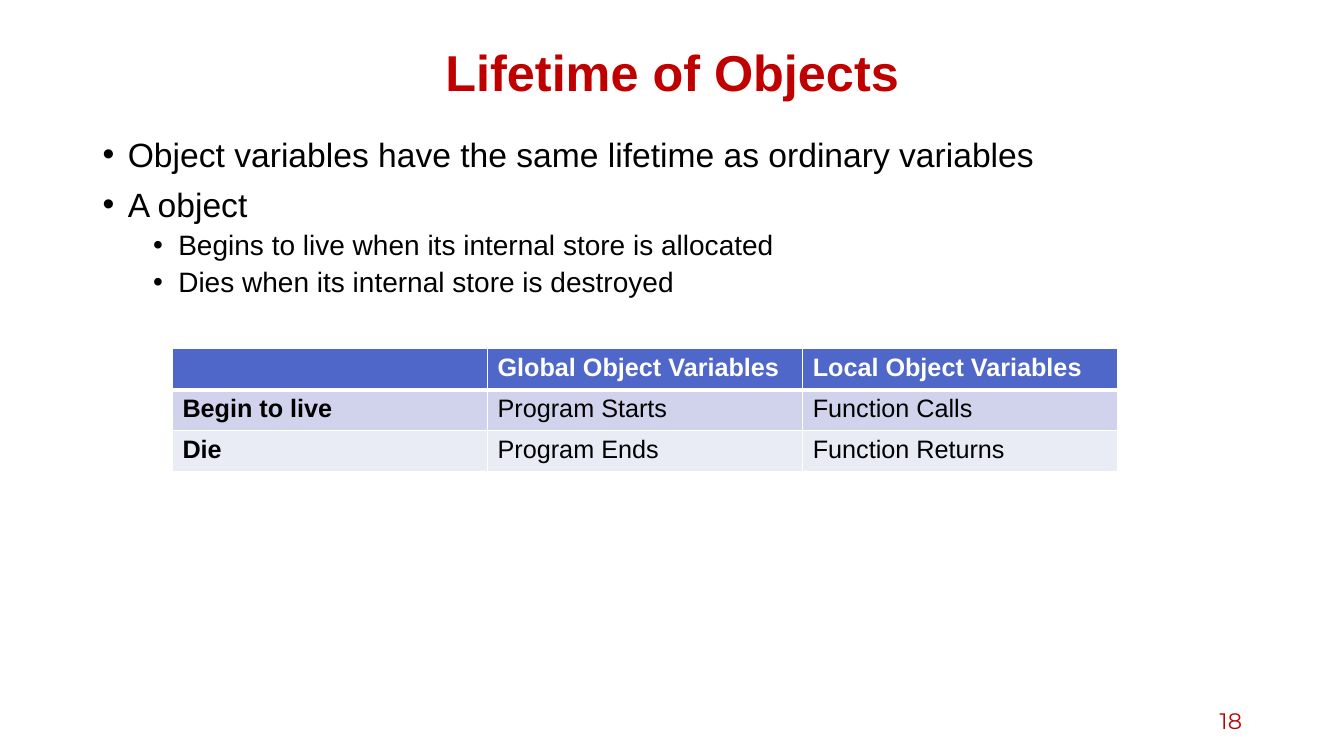
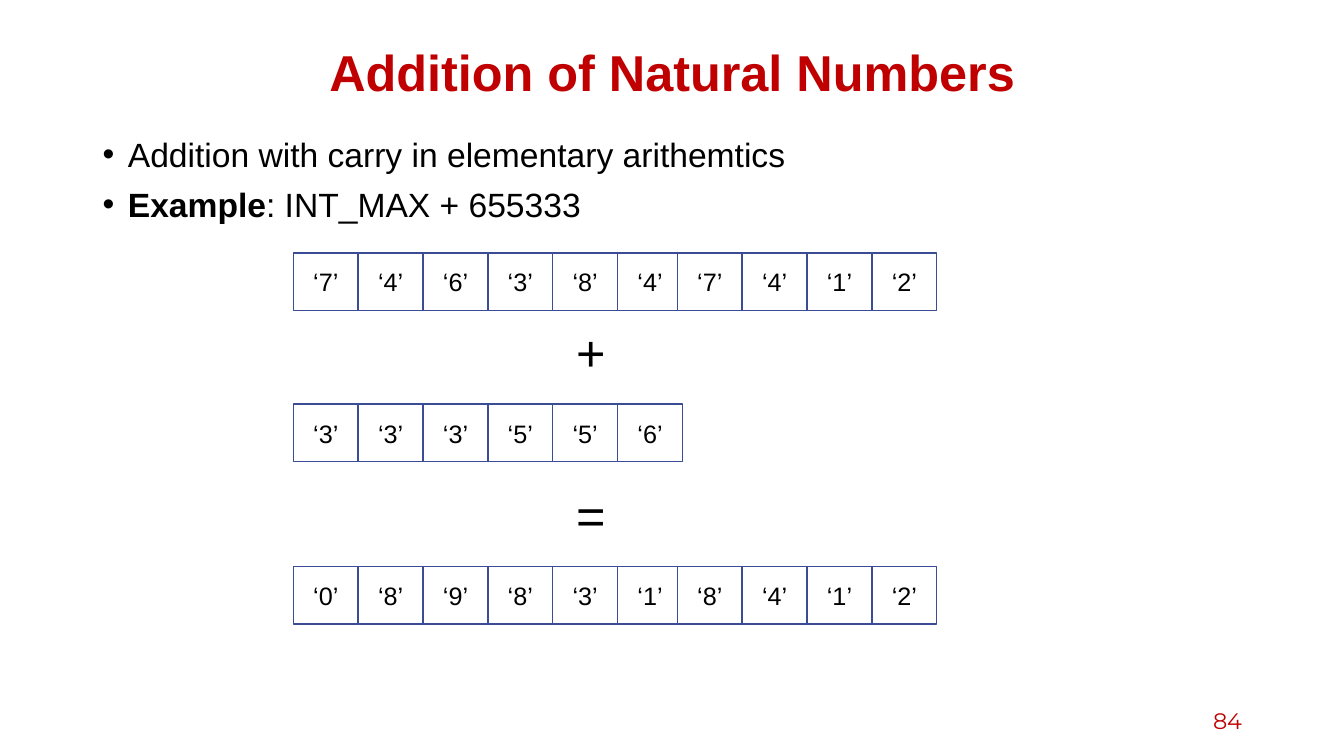
from lxml.etree import SubElement
from pptx import Presentation
from pptx.dml.color import RGBColor
from pptx.enum.shapes import MSO_SHAPE
from pptx.enum.text import MSO_ANCHOR, PP_ALIGN
from pptx.oxml.ns import qn
from pptx.util import Inches, Pt

RED, BLACK, WHITE = "C00000", "000000", "FFFFFF"
HEADER_BLUE, BAND_DARK, BAND_LIGHT = "4E67C8", "D0D3EB", "E9EBF5"
DIGIT_OUTLINE = "3A4C94"

presentation = Presentation()
presentation.slide_width = Inches(13.33)
presentation.slide_height = Inches(7.5)
column = presentation.slide_width / 100
row = presentation.slide_height / 100


def add_run(paragraph, text, size, color=BLACK, bold=False, font="Arial"):
    run = paragraph.add_run()
    run.text = text
    run.font.name = font
    run.font.size = Pt(size)
    run.font.bold = bold
    run.font.color.rgb = RGBColor.from_string(color)


def add_text_frame(slide, left, top, width, height, anchor=MSO_ANCHOR.TOP):
    box = slide.shapes.add_textbox(
        int(left * column), int(top * row), int(width * column), int(height * row)
    )
    box.text_frame.word_wrap = True
    box.text_frame.vertical_anchor = anchor
    return box.text_frame


pages = [
    ("Lifetime of Objects", "18", [
        (0, [("Object variables have the same lifetime as ordinary variables", False)]),
        (0, [("A object", False)]),
        (1, [("Begins to live when its internal store is allocated", False)]),
        (1, [("Dies when its internal store is destroyed", False)]),
    ]),
    ("Addition of Natural Numbers", "84", [
        (0, [("Addition with carry in elementary arithemtics", False)]),
        (0, [("Example", True), (": INT_MAX + 655333", False)]),
    ]),
]

slides = []
for title, number, bullets in pages:
    slide = presentation.slides.add_slide(presentation.slide_layouts[6])
    slides.append(slide)

    paragraph = add_text_frame(slide, 6.9, 5.33, 86.25, 9.33, MSO_ANCHOR.MIDDLE).paragraphs[0]
    paragraph.alignment = PP_ALIGN.CENTER
    paragraph.line_spacing = 0.9
    add_run(paragraph, title, 36, RED, True)

    body = add_text_frame(slide, 6.9, 17.6, 86.25, 73.47)
    for index, (level, runs) in enumerate(bullets):
        paragraph = body.add_paragraph() if index else body.paragraphs[0]
        paragraph.level = level
        paragraph.line_spacing = 0.9
        paragraph.space_before = Pt(5 if level else 10)
        properties = paragraph._p.get_or_add_pPr()
        properties.set("marL", str(Inches(0.25 + 0.5 * level)))
        properties.set("indent", str(Inches(-0.25)))
        SubElement(properties, qn("a:buFont"), typeface="Arial")
        SubElement(properties, qn("a:buChar"), char="•")
        for text, bold in runs:
            add_run(paragraph, text, 20 if level else 24, bold=bold)

    paragraph = add_text_frame(slide, 70.65, 92.67, 22.5, 5.33, MSO_ANCHOR.MIDDLE).paragraphs[0]
    paragraph.alignment = PP_ALIGN.RIGHT
    add_run(paragraph, number, 16, RED, font="Montserrat")

lifetime_slide, addition_slide = slides

lifetimes = [
    ("", "Global Object Variables", "Local Object Variables"),
    ("Begin to live", "Program Starts", "Function Calls"),
    ("Die", "Program Ends", "Function Returns"),
]
row_fills = [HEADER_BLUE, BAND_DARK, BAND_LIGHT]
table = lifetime_slide.shapes.add_table(
    3, 3, int(12.83 * column), int(46.13 * row), int(70.35 * column), int(16.26 * row)
).table
table.horz_banding = False
for row_index, texts in enumerate(lifetimes):
    for column_index, text in enumerate(texts):
        cell = table.cell(row_index, column_index)
        for side in "LRTB":
            thick = (row_index, side) in [(0, "B"), (1, "T")]
            border = SubElement(
                cell._tc.get_or_add_tcPr(), qn(f"a:ln{side}"), w=str(Pt(3 if thick else 1))
            )
            SubElement(SubElement(border, qn("a:solidFill")), qn("a:srgbClr"), val=WHITE)
        cell.fill.solid()
        cell.fill.fore_color.rgb = RGBColor.from_string(row_fills[row_index])
        if text:
            is_header = row_index == 0
            add_run(cell.text_frame.paragraphs[0], text, 18,
                    WHITE if is_header else BLACK, is_header or column_index == 0)

digit_width = 28.95 / 6
group_overlap = 0.38
for digits, top in [("7463847412", 33.47), ("333556", 53.47), ("0898318412", 74.93)]:
    group = addition_slide.shapes.add_group_shape()
    for index, digit in enumerate(digits):
        left = 21.83 + index * digit_width - (group_overlap if index >= 6 else 0)
        shape = group.shapes.add_shape(
            MSO_SHAPE.RECTANGLE, int(left * column), int(top * row),
            int(digit_width * column), int(7.6 * row)
        )
        shape.shadow.inherit = False
        shape.fill.solid()
        shape.fill.fore_color.rgb = RGBColor.from_string(WHITE)
        shape.line.color.rgb = RGBColor.from_string(DIGIT_OUTLINE)
        shape.line.width = Pt(1)
        shape.text_frame.vertical_anchor = MSO_ANCHOR.MIDDLE
        paragraph = shape.text_frame.paragraphs[0]
        paragraph.alignment = PP_ALIGN.CENTER
        add_run(paragraph, f"‘{digit}’", 18)

for operator, top in [("+", 41.87), ("=", 63.33)]:
    frame = add_text_frame(addition_slide, 42.13, top, digit_width, 9.47)
    add_run(frame.paragraphs[0], operator, 36)

presentation.save("out.pptx")
